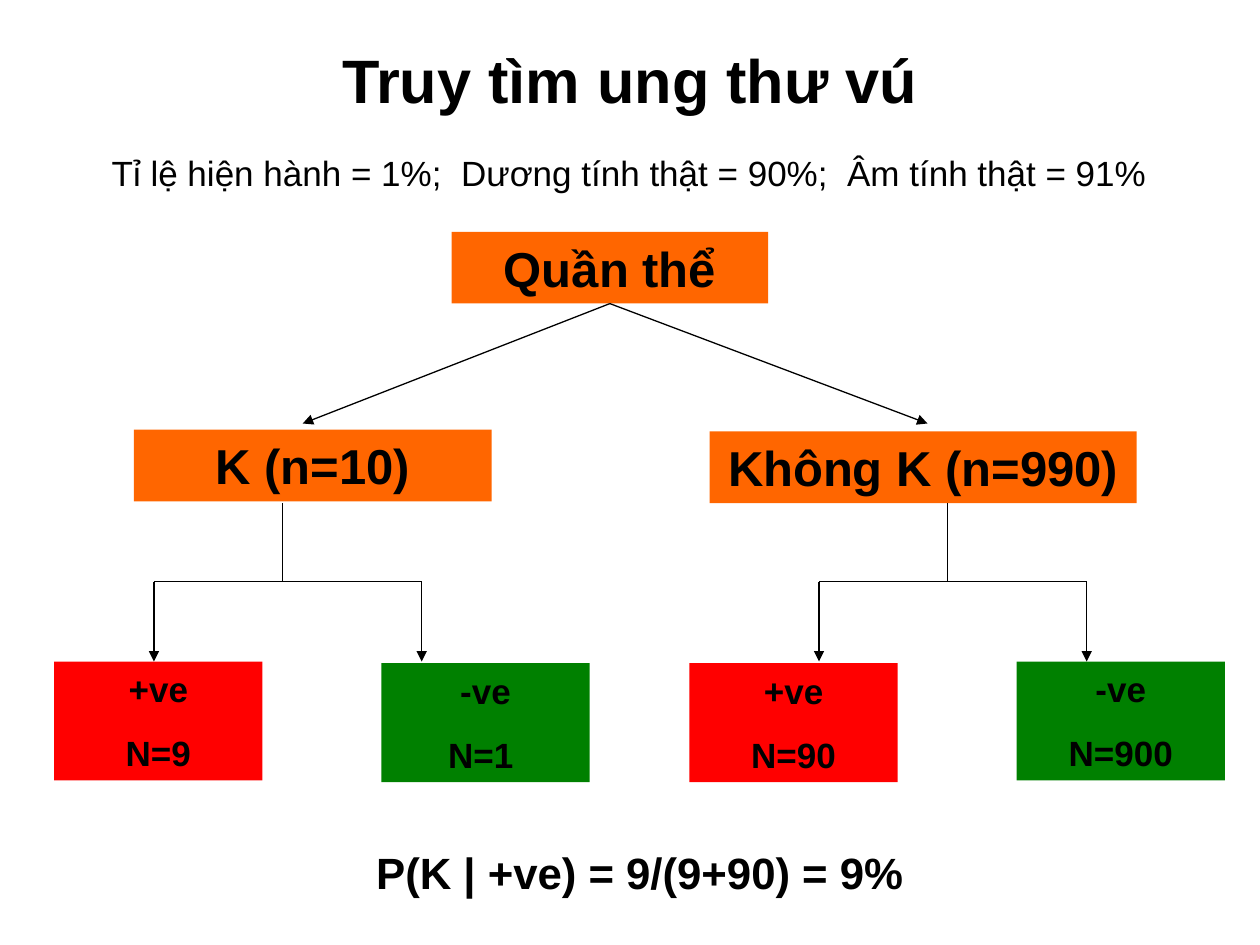
from dataclasses import dataclass

from lxml.etree import SubElement
from pptx import Presentation
from pptx.dml.color import RGBColor
from pptx.enum.shapes import MSO_CONNECTOR, MSO_SHAPE
from pptx.enum.text import MSO_ANCHOR, PP_ALIGN
from pptx.oxml.ns import qn
from pptx.util import Pt

BOTTOM = 2


@dataclass(frozen=True)
class Theme:
    font: str = "Arial"
    ink: RGBColor = RGBColor(0, 0, 0)
    group: RGBColor = RGBColor(0xFF, 0x66, 0x00)
    positive: RGBColor = RGBColor(0xFF, 0, 0)
    negative: RGBColor = RGBColor(0, 0x80, 0)
    title_size: float = 35
    group_size: float = 28
    formula_size: float = 25
    body_size: float = 20
    line_width: float = 0.75
    spacing: float = 0.62  # space before a paragraph, per point of type


class TreeSlide:
    def __init__(self, slide, theme):
        self.slide = slide
        self.theme = theme

    def set_text(self, shape, text, size, bold, anchor=MSO_ANCHOR.TOP):
        frame = shape.text_frame
        frame.word_wrap = True
        frame.vertical_anchor = anchor
        frame.text = text
        for paragraph in frame.paragraphs:
            paragraph.alignment = PP_ALIGN.CENTER
            paragraph.space_before = Pt(round(size * self.theme.spacing, 1))
            for run in paragraph.runs:
                run.font.name = self.theme.font
                run.font.size = Pt(size)
                run.font.bold = bold
                run.font.color.rgb = self.theme.ink

    def label(self, text, bounds, size, bold=True, anchor=MSO_ANCHOR.TOP):
        label = self.slide.shapes.add_textbox(*map(Pt, bounds))
        self.set_text(label, text, size, bold, anchor)

    def node(self, text, bounds, fill, size):
        node = self.slide.shapes.add_shape(MSO_SHAPE.RECTANGLE, *map(Pt, bounds))
        node.shadow.inherit = False
        node.fill.solid()
        node.fill.fore_color.rgb = fill
        node.line.fill.background()
        self.set_text(node, text, size, True)
        return node

    def line(self, start, end, arrow=False):
        line = self.slide.shapes.add_connector(
            MSO_CONNECTOR.STRAIGHT, *map(Pt, (*start, *end)))
        line.line.width = Pt(self.theme.line_width)
        line.line.color.rgb = self.theme.ink
        properties = line.element.spPr
        if arrow:
            SubElement(properties.find(qn("a:ln")), qn("a:tailEnd"), type="triangle")
        SubElement(properties, qn("a:effectLst"))
        return line

    def fork(self, stem, left, right, top=287.5, bar=332.5, bottom=378):
        """Split one stem into two downward arrows."""
        self.line((stem, top), (stem, bar))
        self.line((left, bar), (right, bar))
        for branch in (left, right):
            self.line((branch, bar), (branch, bottom), arrow=True)


def main():
    theme = Theme()
    presentation = Presentation()
    presentation.slide_width, presentation.slide_height = Pt(720), Pt(540)
    tree = TreeSlide(presentation.slides.add_slide(presentation.slide_layouts[6]), theme)

    tree.label("Truy tìm ung thư vú", (36, 12, 648, 66), theme.title_size,
               anchor=MSO_ANCHOR.MIDDLE)
    tree.label("Tỉ lệ hiện hành = 1%;  Dương tính thật = 90%;  Âm tính thật = 91%",
               (19.5, 83, 680.5, 31.5), theme.body_size, bold=False)

    population, *_ = [
        tree.node(text, (left, top, width, 41), theme.group, theme.group_size)
        for text, left, top, width in (
            ("Quần thể", 258, 132.5, 181),
            ("K (n=10)", 76.5, 245.5, 204.5),
            ("Không K (n=990)", 405.5, 246.5, 244),
        )
    ]

    for sign, count, left, top in (
        ("+ve", "N=9", 31, 378),
        ("-ve", "N=1 ", 218, 379),
        ("+ve", "N=90", 394, 379),
        ("-ve", "N=900", 581, 378),
    ):
        fill = theme.positive if sign == "+ve" else theme.negative
        tree.node(f"{sign}\n{count}", (left, top, 119, 68), fill, theme.body_size)

    for target in (173, 530):
        branch = tree.line((348.5, 173.5), (target, 242), arrow=True)
        branch.begin_connect(population, BOTTOM)

    for shift in (0, 380):
        tree.fork(161.5 + shift, 88 + shift, 241 + shift)

    tree.label("P(K | +ve) = 9/(9+90) = 9%", (31, 479.5, 669, 37.5), theme.formula_size)

    presentation.save("out.pptx")


if __name__ == "__main__":
    main()
